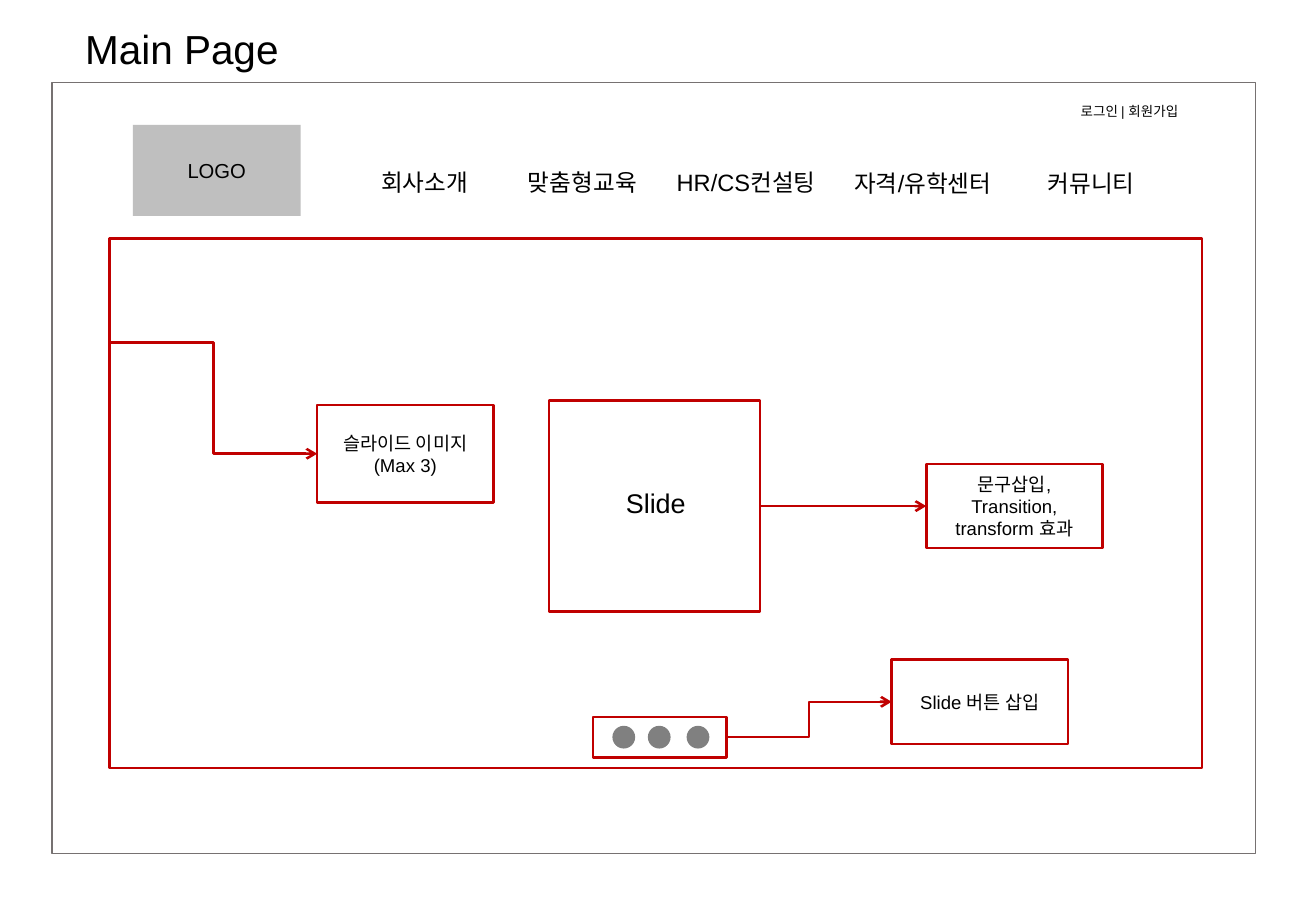
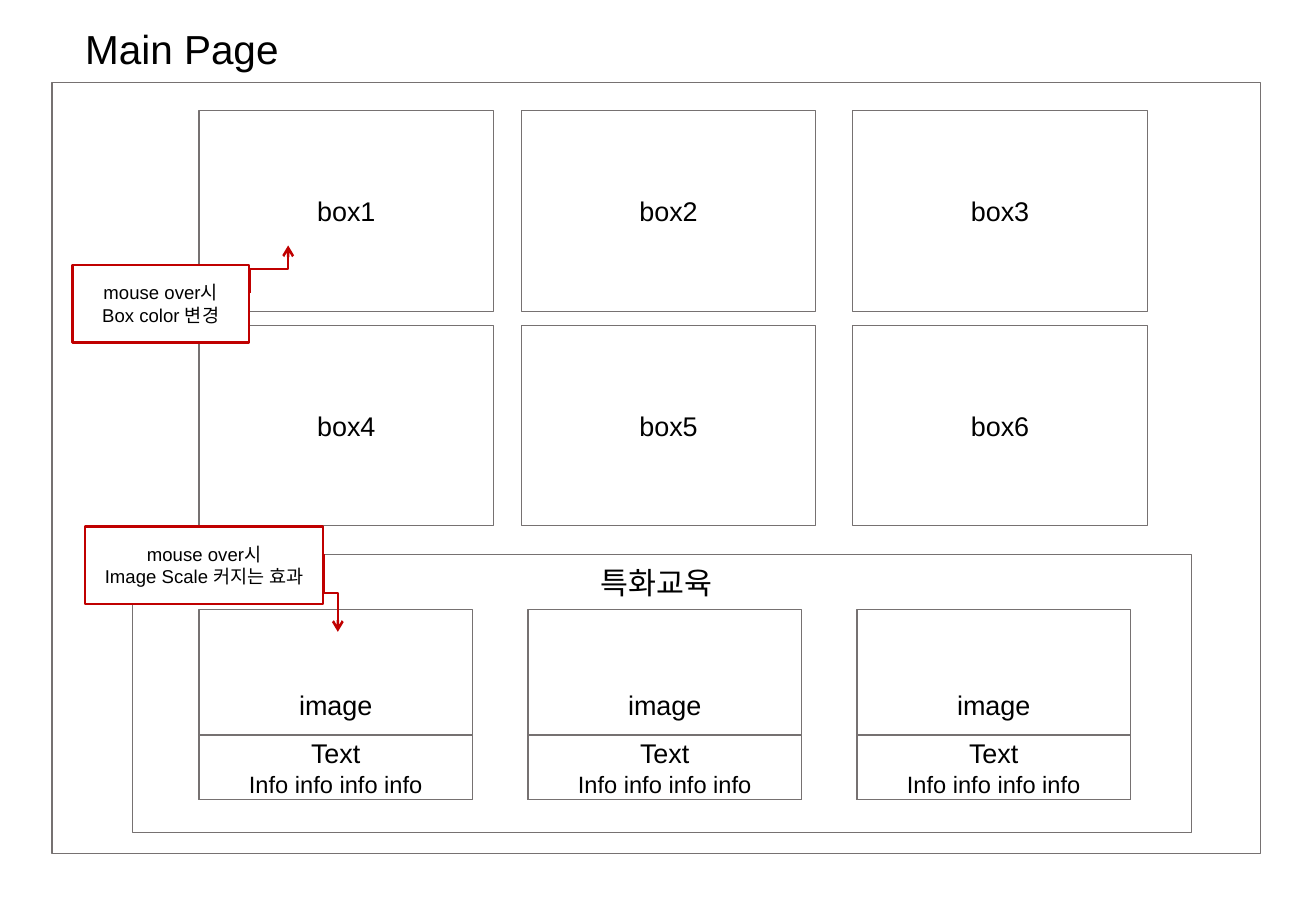
"""Build two wireframe slides of a main page."""
from dataclasses import dataclass
from typing import Optional

from lxml import etree
from pptx import Presentation
from pptx.dml.color import RGBColor
from pptx.enum import shapes as kinds, text as txt
from pptx.oxml.ns import qn
from pptx.util import Pt

BLACK = RGBColor(0x00, 0x00, 0x00)
WHITE = RGBColor(0xFF, 0xFF, 0xFF)
RED = RGBColor(0xC0, 0x00, 0x00)
GRAY = RGBColor(0x76, 0x71, 0x71)
LOGO_GRAY = RGBColor(0xBF, 0xBF, 0xBF)
DOT_GRAY = RGBColor(0x80, 0x80, 0x80)
FONT = "Arial"


@dataclass(frozen=True)
class Line:
    words: str
    size: float


@dataclass(frozen=True)
class Area:
    left: float
    top: float
    width: float
    height: float

    def pts(self):
        return Pt(self.left), Pt(self.top), Pt(self.width), Pt(self.height)


@dataclass(frozen=True)
class Box:
    area: Area
    lines: tuple[Line, ...] = ()
    outline: Optional[RGBColor] = GRAY
    weight: float = 0.75
    fill: Optional[RGBColor] = None
    kind: int = kinds.MSO_SHAPE.RECTANGLE


@dataclass(frozen=True)
class Arrow:
    start: tuple[float, float]
    end: tuple[float, float]
    kind: int = kinds.MSO_CONNECTOR.ELBOW
    vertical_first: bool = False


def write(frame, lines: tuple[Line, ...], align=txt.PP_ALIGN.CENTER) -> None:
    """Fill a text frame with one paragraph per line."""
    for index, line in enumerate(lines):
        paragraph = frame.add_paragraph() if index else frame.paragraphs[0]
        paragraph.text = line.words
        paragraph.alignment = align
        paragraph.font.name = FONT
        paragraph.font.size = Pt(line.size)
        paragraph.font.color.rgb = BLACK


def draw_box(slide, box: Box):
    """Draw a preset shape with its centred text."""
    shape = slide.shapes.add_shape(box.kind, *box.area.pts())
    shape.shadow.inherit = False
    if box.fill is None:
        shape.fill.background()
    else:
        shape.fill.solid()
        shape.fill.fore_color.rgb = box.fill
    if box.outline is None:
        shape.line.fill.background()
    else:
        shape.line.color.rgb = box.outline
        shape.line.width = Pt(box.weight)
    write(shape.text_frame, box.lines)
    return shape


def draw_note(slide, area: Area, *words: str, size: float = 11,
              fill: Optional[RGBColor] = None):
    """Draw a red annotation box."""
    lines = tuple(Line(w, size) for w in words)
    return draw_box(slide, Box(area, lines, RED, 1.5, fill))


def draw_label(slide, area: Area, words: str, size: float,
               align=txt.PP_ALIGN.CENTER) -> None:
    """Draw a wrapped text box."""
    frame = slide.shapes.add_textbox(*area.pts()).text_frame
    frame.word_wrap = True
    write(frame, (Line(words, size),), align)


def draw_arrow(slide, arrow: Arrow):
    """Draw a red arrow, turned a quarter when it leaves vertically."""
    (x1, y1), (x2, y2) = arrow.start, arrow.end
    if arrow.vertical_first:
        cx, cy, dx, dy = (x1 + x2) / 2, (y1 + y2) / 2, (x2 - x1) / 2, (y2 - y1) / 2
        x1, y1, x2, y2 = cx - dy, cy + dx, cx + dy, cy - dx
    connector = slide.shapes.add_connector(arrow.kind, Pt(x1), Pt(y1), Pt(x2), Pt(y2))
    connector.line.color.rgb = RED
    connector.line.width = Pt(1.5)
    properties = connector._element.spPr
    if arrow.vertical_first:
        properties.find(qn("a:xfrm")).set("rot", "5400000")
    etree.SubElement(properties.find(qn("a:ln")), qn("a:tailEnd")).set("type", "arrow")
    etree.SubElement(properties, qn("a:effectLst"))
    return connector


def add_page(deck, frame_width: float):
    """Add a slide with the shared title and page frame."""
    slide = deck.slides.add_slide(deck.slide_layouts[5])
    title = slide.shapes.title
    title.left, title.top, title.width, title.height = Area(43.2, 10.8, 131, 36).pts()
    frame = title.text_frame
    frame.word_wrap = False
    frame.auto_size = txt.MSO_AUTO_SIZE.NONE
    frame.vertical_anchor = txt.MSO_ANCHOR.TOP
    write(frame, (Line("Main Page", 24),), txt.PP_ALIGN.LEFT)
    draw_box(slide, Box(Area(30.75, 49, frame_width, 457)))
    return slide


def build_slider_page(deck) -> None:
    """Build the page with the menu and the image slider."""
    slide = add_page(deck, 713.5)
    draw_box(slide, Box(Area(78.75, 74, 99.5, 54), (Line("LOGO", 12),), None,
                        fill=LOGO_GRAY))
    menu = (
        ("회사소개", Area(206, 95.75, 91.5, 24.5)),
        ("맞춤형교육", Area(301, 95.75, 88.5, 24.5)),
        ("HR/CS컨설팅", Area(393, 95.75, 98.5, 24.5)),
        ("자격/유학센터", Area(492, 96.5, 110, 24.5)),
        ("커뮤니티", Area(601, 96.5, 91.5, 24.5)),
    )
    for words, area in menu:
        draw_label(slide, area, words, 14)
    draw_label(slide, Area(633.5, 57.5, 78.5, 17), "로그인 | 회원가입", 8,
               txt.PP_ALIGN.LEFT)

    draw_note(slide, Area(65, 141.25, 647.5, 314), "Slide", size=16)
    for left in (363, 384, 407):
        draw_box(slide, Box(Area(left, 430.25, 13.5, 13.5), outline=None, fill=DOT_GRAY,
                            kind=kinds.MSO_SHAPE.OVAL))
    dots = draw_note(slide, Area(351.5, 425, 79, 24))
    button_note = draw_note(slide, Area(528.5, 391, 104.5, 50), "Slide 버튼 삽입")
    image_note = draw_note(slide, Area(188, 240, 104.5, 58), "슬라이드 이미지", "(Max 3)")
    center = draw_note(slide, Area(325.5, 237.5, 125, 125))
    effect_note = draw_note(slide, Area(549, 275, 104.5, 50),
                            "문구삽입,", "Transition, transform 효과")

    to_button = draw_arrow(slide, Arrow((430.5, 437), (528.5, 416)))
    to_button.begin_connect(dots, 3)
    to_button.end_connect(button_note, 1)
    to_image = draw_arrow(slide, Arrow((65, 203), (188, 269)))
    to_image.end_connect(image_note, 1)
    to_effect = draw_arrow(slide, Arrow((450.5, 300), (549, 300),
                                        kinds.MSO_CONNECTOR.STRAIGHT))
    to_effect.begin_connect(center, 3)
    to_effect.end_connect(effect_note, 1)


def build_content_page(deck) -> None:
    """Build the page with the box grid, the image cards and their notes on top."""
    slide = add_page(deck, 716.5)
    draw_box(slide, Box(Area(78.5, 328.5, 628, 165)))
    draw_label(slide, Area(345, 331, 88, 29), "특화교육", 18)
    for column in range(3):
        left = 118 + column * 195
        draw_box(slide, Box(Area(left, 361.5, 162, 112.5), (Line("image", 16),)))
        draw_box(slide, Box(Area(left, 435.75, 162, 38.25),
                            (Line("Text", 16), Line("Info info info info", 14))))

    lefts = (118, 309, 505.5)
    for index in range(6):
        row, column = divmod(index, len(lefts))
        draw_box(slide, Box(Area(lefts[column], 65.5 + row * 127.25, 174.5, 119),
                            (Line(f"box{index + 1}", 16),)))

    draw_note(slide, Area(50.5, 312, 141, 46), "mouse over시", "Image Scale 커지는 효과",
              fill=WHITE)
    draw_arrow(slide, Arrow((192, 328.5), (200.25, 374.5), vertical_first=True))
    draw_note(slide, Area(43, 157, 104.5, 46), "mouse over시", "Box color 변경",
              fill=WHITE)
    draw_arrow(slide, Arrow((148, 173.5), (170.75, 145.5), vertical_first=True))


def main() -> None:
    """Build and save the deck."""
    deck = Presentation()
    deck.slide_width, deck.slide_height = Pt(780), Pt(540)
    build_slider_page(deck)
    build_content_page(deck)
    deck.save("out.pptx")


if __name__ == "__main__":
    main()
